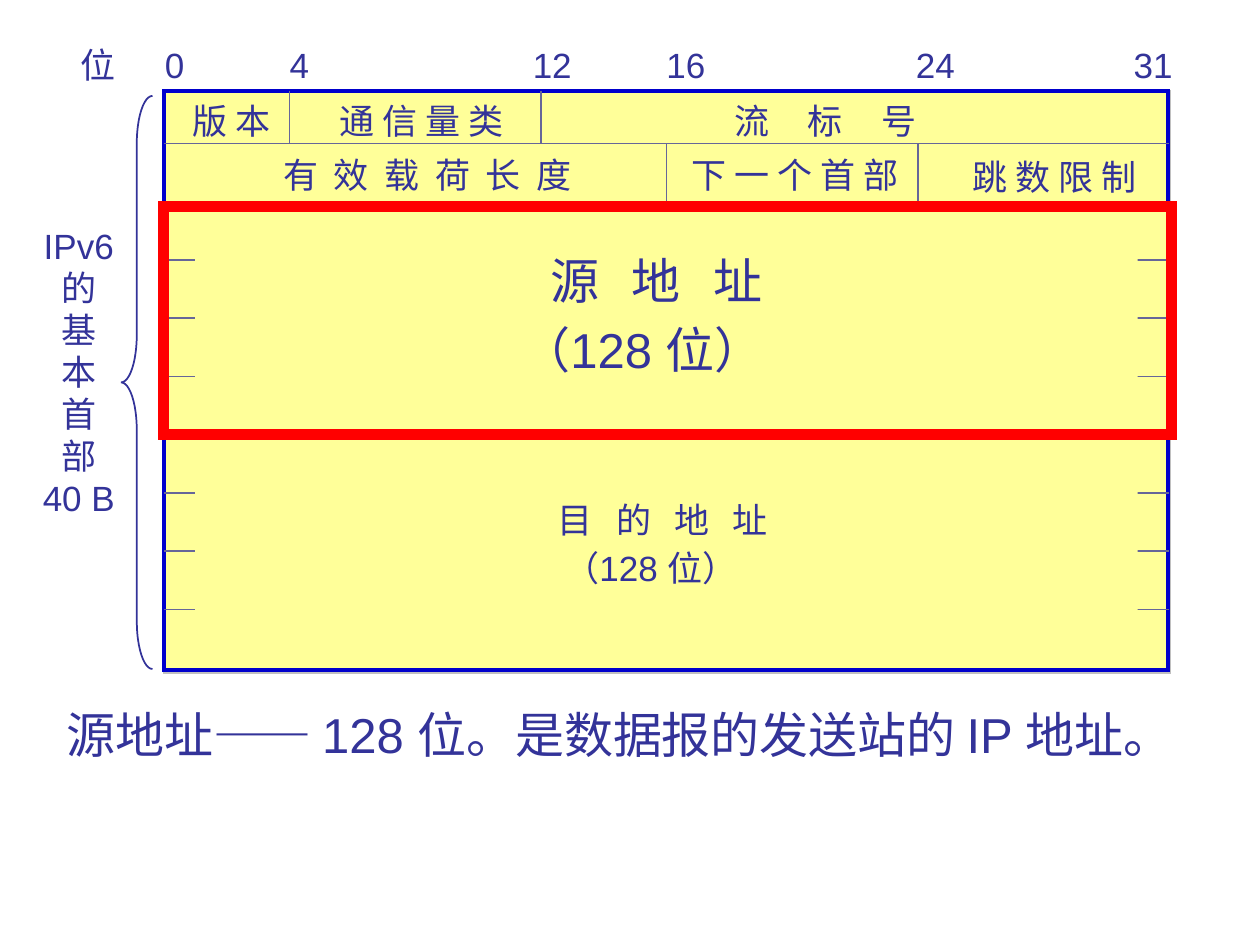
from dataclasses import dataclass

from lxml.etree import SubElement
from pptx import Presentation
from pptx.dml.color import RGBColor
from pptx.enum.shapes import MSO_CONNECTOR, MSO_SHAPE
from pptx.enum.text import MSO_AUTO_SIZE, PP_ALIGN
from pptx.oxml.ns import qn
from pptx.util import Inches, Pt


@dataclass(frozen=True)
class Theme:
    font: str = "Arial"
    ink: str = "333399"
    fill: str = "FFFF99"
    frame: str = "0000CC"
    rule: str = "666699"
    highlight: str = "FF0000"
    shadow: str = "C0C0C0"
    normal: int = 20
    large: int = 28


THEME = Theme()
LEFT, RIGHT, BITS = 1.3, 9.28, 32
FIRST_RULE, BOTTOM, RULED_ROWS = 1.14, 5.3, 9
BIT_WIDTH = (RIGHT - LEFT) / BITS
ROW_HEIGHT = (BOTTOM - FIRST_RULE) / RULED_ROWS
TOP = 0.09  # top edge of the header, in rows
SPACE_WIDTH = 0.22  # width of a space between characters, in ems

# text, bit column, width in columns
SCALE = [
    ("位", -3.05, 1.92), ("0", -0.36, 1.4), ("4", 3.61, 1.4), ("12", 11.35, 2.04),
    ("16", 15.6, 2.04), ("24", 23.54, 2.04), ("31", 30.47, 2.04),
]
# text, bit column, row, width in columns, size, extra gap in space widths
FIELDS = [
    ("版 本", 0.52, 0.13, 3.29, THEME.normal, 0),
    ("通 信 量 类", 5.21, 0.13, 6.01, THEME.normal, 0),
    ("流 标 号", 17.76, 0.13, 7.66, THEME.normal, 4),
    ("有 效 载 荷 长 度", 3.41, 1.07, 10.98, THEME.normal, 1),
    ("下 一 个 首 部", 16.4, 1.07, 7.38, THEME.normal, 0),
    ("跳 数 限 制", 25.34, 1.09, 6.01, THEME.normal, 0),
    ("源 地 址", 11.91, 2.73, 8.58, THEME.large, 2),
    ("（128 位）", 10.99, 3.92, 9.26, THEME.large, 0),
    ("目 的 地 址", 12.15, 6.99, 8.5, THEME.normal, 2),
    ("（128 位）", 12.35, 7.81, 6.86, THEME.normal, 0),
]
# bit, row above, row below
DIVIDERS = [(4, TOP, 1), (12, TOP, 1), (16, 1, 2), (24, 1, 2)]


def grid_x(bit):
    return Inches(LEFT + bit * BIT_WIDTH)


def grid_y(row):
    return Inches(FIRST_RULE + (row - 1) * ROW_HEIGHT)


def grid_box(bit, row, columns, rows):
    return (grid_x(bit), grid_y(row),
            Inches(columns * BIT_WIDTH), Inches(rows * ROW_HEIGHT))


def add_block(page, kind, area, fill=None, line=None, width=1):
    block = page.shapes.add_shape(kind, *grid_box(*area))
    block.shadow.inherit = False
    if fill:
        block.fill.solid()
        block.fill.fore_color.rgb = RGBColor.from_string(fill)
    else:
        block.fill.background()
    if line:
        block.line.color.rgb = RGBColor.from_string(line)
        block.line.width = Pt(width)
        SubElement(block._element.spPr.find(qn("a:ln")), qn("a:miter"), lim="800000")
    else:
        block.line.fill.background()
    return block


def cast_shadow(block):
    effects = block._element.spPr.find(qn("a:effectLst"))
    shadow = SubElement(effects, qn("a:outerShdw"),
                        dist=str(Pt(1.4)), dir="2700000", algn="ctr", rotWithShape="0")
    SubElement(shadow, qn("a:srgbClr"), val=THEME.shadow)


def add_rule(page, start, end):
    rule = page.shapes.add_connector(
        MSO_CONNECTOR.STRAIGHT, grid_x(start[0]), grid_y(start[1]),
        grid_x(end[0]), grid_y(end[1]))
    rule.line.color.rgb = RGBColor.from_string(THEME.rule)
    rule.line.width = Pt(1)
    SubElement(rule._element.spPr, qn("a:effectLst"))


def add_label(page, lines, area, size=THEME.normal, gap=0, wrap=False, **para_format):
    """Add text; gap widens each space between characters by that many spaces."""
    box = page.shapes.add_textbox(*grid_box(*area))
    frame = box.text_frame
    frame.word_wrap = wrap
    frame.auto_size = MSO_AUTO_SIZE.SHAPE_TO_FIT_TEXT
    for index, text in enumerate(lines):
        para = frame.paragraphs[0] if index == 0 else frame.add_paragraph()
        for name, value in para_format.items():
            setattr(para, name, value)
        span = para.add_run()
        span.text = text
        for name, value in {"name": THEME.font, "size": Pt(size)}.items():
            setattr(span.font, name, value)
        span.font.color.rgb = RGBColor.from_string(THEME.ink)
        if gap:
            # Half goes after the character, half after the space (in 1/100 pt)
            span.font._element.set("spc", str(round(gap * size * SPACE_WIDTH / 2 * 100)))


def draw_header_grid(page):
    header = add_block(page, MSO_SHAPE.RECTANGLE, (0, TOP, BITS - 0.05, 9.95),
                       THEME.fill, THEME.frame, 2.25)
    cast_shadow(header)
    for row in range(1, RULED_ROWS + 1):
        add_rule(page, (0, row), (BITS, row))
    for bit, above, below in DIVIDERS:
        add_rule(page, (bit, above), (bit, below))
    for address_row in (2, 6):
        add_block(page, MSO_SHAPE.RECTANGLE, (1, address_row + 0.66, 30, 2.68), THEME.fill)


def draw_side_brace(page):
    brace = add_block(page, MSO_SHAPE.LEFT_BRACE, (-1.36, 0.18, 1, 9.84), line=THEME.ink)
    brace.adjustments[0] = 1.52
    add_label(page, ["IPv6", *"的基本首部", "40 B"], (-4.25, 2.28, 3.09, 5.97),
              alignment=PP_ALIGN.CENTER)


def main():
    deck = Presentation()
    deck.slide_width, deck.slide_height = Inches(10), Inches(7.5)
    page = deck.slides.add_slide(deck.slide_layouts[6])

    draw_header_grid(page)
    for text, bit, columns in SCALE:
        add_label(page, [text], (bit, -0.82, columns, 0.93))
    for text, bit, row, columns, size, gap in FIELDS:
        rows = 0.93 if size == THEME.normal else 1.21
        add_label(page, [text], (bit, row, columns, rows), size, gap, wrap=gap > 0)
    draw_side_brace(page)
    add_block(page, MSO_SHAPE.RECTANGLE, (0, 2.08, BITS + 0.08, 3.91),
              line=THEME.highlight, width=6)
    add_label(page, ["源地址—— 128 位。是数据报的发送站的 IP 地址。"],
              (-3.49, 10.48, 37.9, 1.28), THEME.large, wrap=True, line_spacing=1.05)
    deck.save("out.pptx")


if __name__ == "__main__":
    main()
